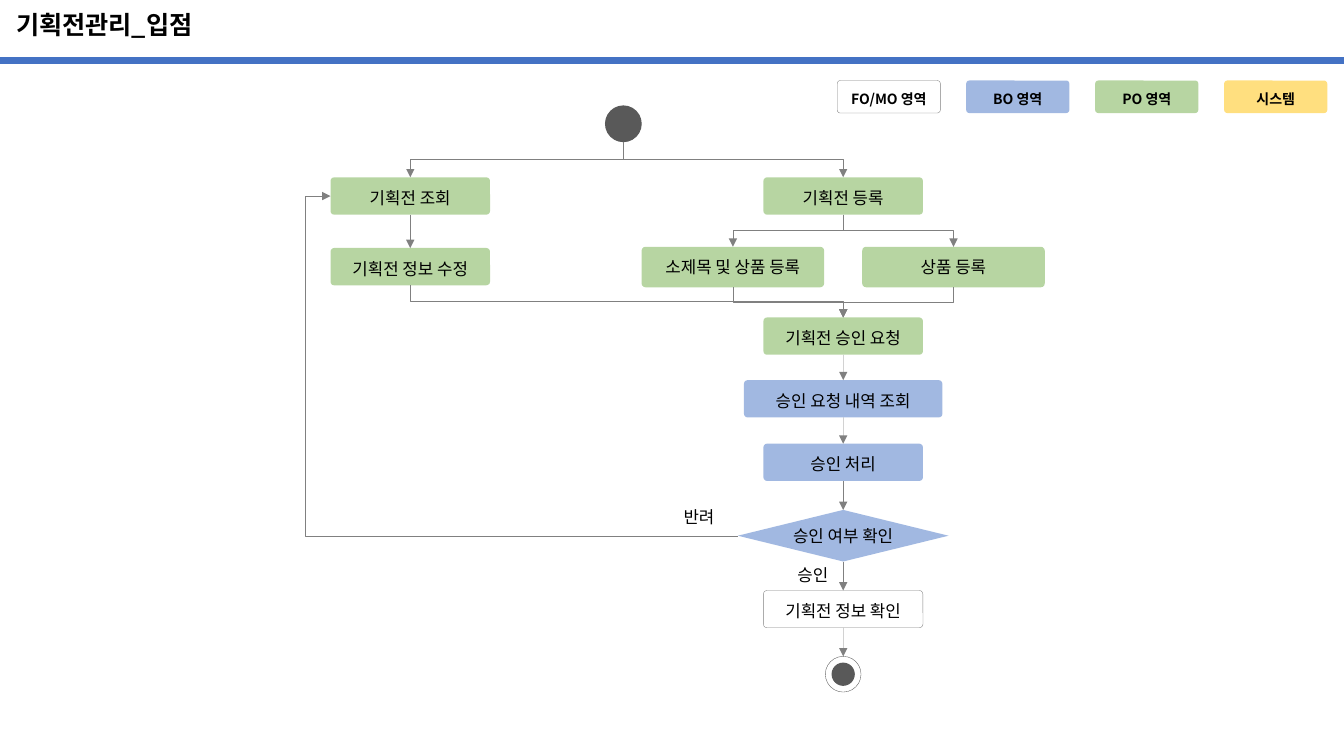
from lxml.etree import SubElement
from pptx import Presentation
from pptx.dml.color import RGBColor
from pptx.enum.shapes import MSO_CONNECTOR as Route, MSO_SHAPE as Preset
from pptx.enum.text import MSO_ANCHOR as Anchor, PP_ALIGN as Align
from pptx.oxml.ns import qn
from pptx.util import Cm, Pt

FONT = "Noto Sans CJK KR"
BLACK, WHITE, GRAY, DARK = "000000", "FFFFFF", "808080", "595959"
BLUE, GREEN, YELLOW = "4472C4", "70AD47", "FFC000"
TOP, LEFT, BOTTOM = 0, 1, 2

# Column centres of the flow, in centimetres
QUERY_X, START_X, MAIN_X, BRANCH = 10.34, 15.71, 21.25, 2.78


def rgb(code):
    return RGBColor.from_string(code)


class FlowSlide:
    def __init__(self, presentation):
        self.slide = presentation.slides.add_slide(presentation.slide_layouts[5])
        self.shapes = self.slide.shapes

    def set_text(self, shape, text, size=12, bold=False, font=FONT, spacing=1.0,
                 after=0, align=Align.CENTER):
        frame = shape.text_frame
        frame.text = text
        frame.vertical_anchor = Anchor.MIDDLE
        paragraph = frame.paragraphs[0]
        paragraph.alignment = align
        paragraph.line_spacing = spacing
        paragraph.space_after = Pt(after)
        paragraph.font.size = Pt(size)
        paragraph.font.bold = bold
        paragraph.font.name = font
        paragraph.font.color.rgb = rgb(BLACK)
        default = paragraph._p.pPr.find(qn("a:defRPr"))
        SubElement(default, qn("a:ea")).set("typeface", FONT)

    def clear_insets(self, shape):
        frame = shape.text_frame
        frame.margin_left = frame.margin_right = 0
        frame.margin_top = frame.margin_bottom = 0

    def title(self, text):
        title = self.shapes.title
        title.left, title.top = Cm(0.15), Cm(0)
        title.width, title.height = Cm(33.55), Cm(1.35)
        self.set_text(title, text, 18, True, spacing=0.9, align=Align.LEFT)

    def preset(self, kind, center, top, width, height, color, line=None, weight=0.25):
        """Add a shape centred on a column; coloured areas are half transparent."""
        shape = self.shapes.add_shape(
            kind, Cm(center - width / 2), Cm(top), Cm(width), Cm(height))
        shape.shadow.inherit = False
        shape.fill.solid()
        shape.fill.fore_color.rgb = rgb(color)
        if line:
            shape.line.color.rgb = rgb(line)
            shape.line.width = Pt(weight)
        else:
            shape.line.fill.background()
            color_node = shape._element.spPr.find(qn("a:solidFill"))[0]
            SubElement(color_node, qn("a:alpha")).set("val", "50000")
        return shape

    def box(self, text, center, top, color, width=4.02, height=0.94, size=12,
            bold=False, spacing=1.2):
        line = GRAY if color == WHITE else None
        shape = self.preset(Preset.ROUNDED_RECTANGLE, center, top, width, height, color, line)
        shape.adjustments[0] = 0.097
        self.clear_insets(shape)
        self.set_text(shape, text, size, bold, spacing=spacing, after=2)
        return shape

    def decision(self, text, center, top):
        shape = self.preset(Preset.FLOWCHART_DECISION, center, top, 5.31, 1.3, BLUE)
        self.clear_insets(shape)
        self.set_text(shape, text)
        shape.text_frame.word_wrap = False
        return shape

    def circle(self, center, top, size, color=DARK, weight=0.75):
        return self.preset(Preset.FLOWCHART_CONNECTOR, center, top, size, size,
                           color, DARK, weight)

    def label(self, text, left, top):
        shape = self.shapes.add_textbox(Cm(left), Cm(top), Cm(1.55), Cm(0.94))
        shape.text_frame.word_wrap = True
        self.clear_insets(shape)
        self.set_text(shape, text, font="Arial")

    def connector(self, route, begin, end, color=GRAY, weight=0.25, arrow=True):
        connector = self.shapes.add_connector(route, *begin, *end)
        connector.line.color.rgb = rgb(color)
        connector.line.width = Pt(weight)
        if arrow:
            line = connector._element.spPr.find(qn("a:ln"))
            SubElement(line, qn("a:tailEnd")).set("type", "triangle")
        SubElement(connector._element.spPr, qn("a:effectLst"))
        return connector

    def place(self, connector, left, top, width, height, rotation, flip=False):
        connector.left, connector.top = int(left), int(top)
        connector.width, connector.height = int(width), int(height)
        frame = connector._element.spPr.find(qn("a:xfrm"))
        frame.set("rot", str(rotation * 60000))
        frame.set("flipH", str(int(flip)))
        frame.set("flipV", "0")

    def down(self, upper, lower, weight=0.25):
        """Arrow from the bottom of one shape to the top of another."""
        x1, y1 = upper.left + upper.width // 2, upper.top + upper.height
        x2, y2 = lower.left + lower.width // 2, lower.top
        bent = abs(x2 - x1) > Cm(0.05)
        route = Route.ELBOW if bent else Route.STRAIGHT
        connector = self.connector(route, (x1, y1), (x2, y2), weight=weight)
        if upper.auto_shape_type != Preset.FLOWCHART_CONNECTOR:
            connector.begin_connect(upper, BOTTOM)
        connector.end_connect(lower, TOP)
        if bent:
            across, drop = abs(x2 - x1), y2 - y1
            rightward = x2 > x1
            self.place(connector, (x1 + x2 - drop) / 2, (y1 + y2 - across) / 2,
                       drop, across, 270 if rightward else 90, rightward)

    def back(self, lower, upper):
        """Arrow looping on the left side from a lower shape up to another."""
        y1, y2 = (shape.top + shape.height // 2 for shape in (lower, upper))
        connector = self.connector(Route.ELBOW, (lower.left, y1), (upper.left, y2))
        connector.begin_connect(lower, LEFT)
        connector.end_connect(upper, LEFT)
        self.place(connector, upper.left, y2, lower.left - upper.left, y1 - y2, 180)
        geometry = connector._element.spPr.find(qn("a:prstGeom"))
        guides = geometry.find(qn("a:avLst"))
        if guides is None:
            guides = SubElement(geometry, qn("a:avLst"))
        guide = SubElement(guides, qn("a:gd"))
        guide.set("name", "adj1")
        guide.set("fmla", "val 106200")


def main():
    presentation = Presentation()
    presentation.slide_width, presentation.slide_height = Cm(33.87), Cm(19.05)
    flow = FlowSlide(presentation)

    flow.title("기획전관리_입점")
    flow.connector(Route.STRAIGHT, (0, Cm(1.53)), (Cm(33.87), Cm(1.53)), BLUE, 4.75, False)
    legend = [("FO/MO 영역", WHITE), ("BO 영역", BLUE), ("PO 영역", GREEN), ("시스템", YELLOW)]
    for index, (text, color) in enumerate(legend):
        flow.box(text, 22.4 + 3.25 * index, 2.03, color, 2.6, 0.82, 10, True)

    start = flow.circle(START_X, 2.67, 0.9)
    query = flow.box("기획전 조회", QUERY_X, 4.47, GREEN)
    edit = flow.box("기획전 정보 수정", QUERY_X, 6.25, GREEN)
    register = flow.box("기획전 등록", MAIN_X, 4.47, GREEN)
    branches = [flow.box(text, center, 6.22, GREEN, 4.6, 1.02, spacing=1.0)
                for text, center in (("소제목 및 상품 등록", MAIN_X - BRANCH),
                                     ("상품 등록", MAIN_X + BRANCH))]
    request = flow.box("기획전 승인 요청", MAIN_X, 8, GREEN)
    review = flow.box("승인 요청 내역 조회", MAIN_X, 9.58, BLUE, 5)
    approve = flow.box("승인 처리", MAIN_X, 11.18, BLUE)
    check = flow.decision("승인 여부 확인", MAIN_X, 12.85)
    confirm = flow.box("기획전 정보 확인", MAIN_X, 14.88, WHITE)
    finish = flow.circle(MAIN_X, 16.54, 0.9, WHITE, 0.25)
    flow.circle(MAIN_X, 16.71, 0.56)

    flow.label("승인", 19.71, 14.02)
    flow.label("반려", 16.84, 12.55)

    for first_step in (query, register):
        flow.down(start, first_step)
    flow.down(query, edit)
    flow.down(edit, request)
    for branch in branches:
        flow.down(register, branch, 0.5)
        flow.down(branch, request, 0.5)
    steps = [request, review, approve, check, confirm, finish]
    for upper, lower in zip(steps, steps[1:]):
        flow.down(upper, lower)
    flow.back(check, query)

    presentation.save("out.pptx")


if __name__ == "__main__":
    main()
